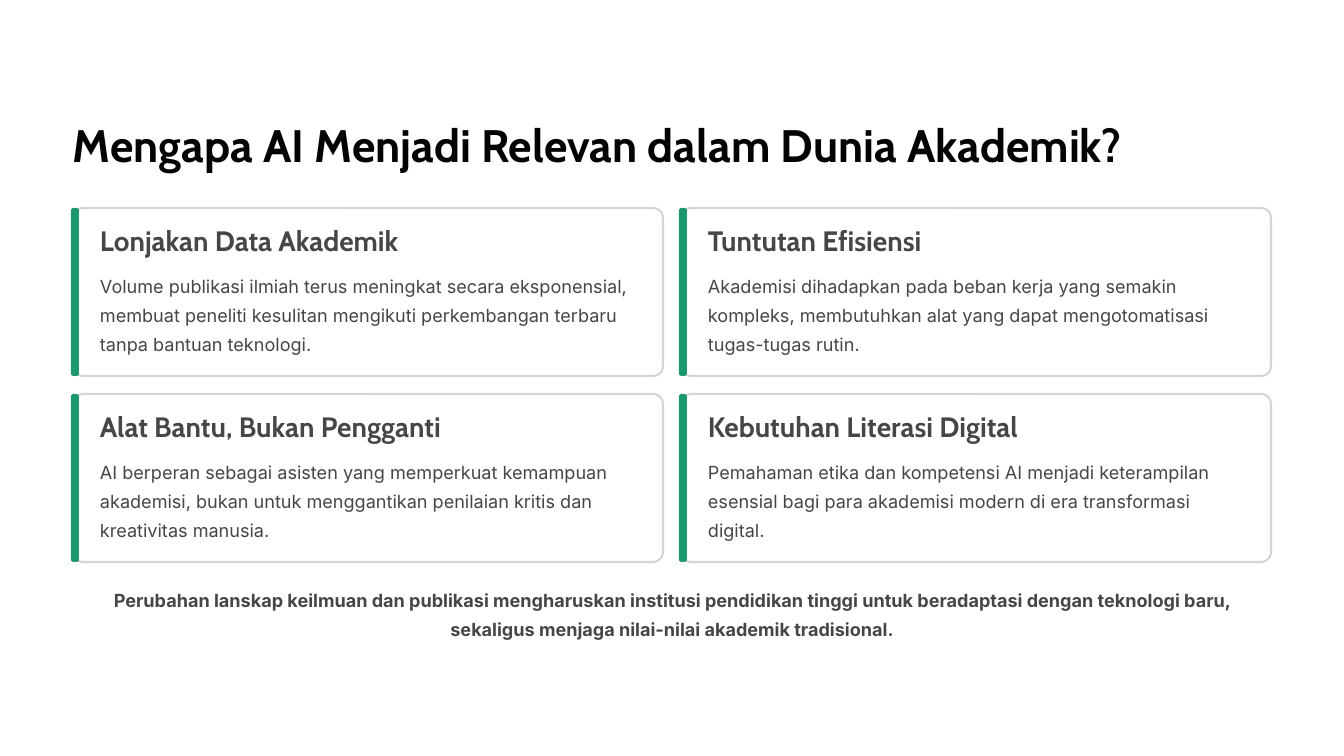
import pptx
import pptx.util
import pptx.dml.color
import pptx.enum.shapes
import pptx.enum.text

PX = 914400 // 84
GREEN, GREY, BORDER = "1C9770", "464646", "D8D4D4"
ALIGN = pptx.enum.text.PP_ALIGN

prs = pptx.Presentation()
prs.slide_width, prs.slide_height = 1344 * PX, 756 * PX
s = prs.slides.add_slide(prs.slide_layouts[6])


def paint(fmt, color):
    fmt.solid()
    fmt.fore_color.rgb = pptx.dml.color.RGBColor.from_string(color)


def add_text(text, x, y, w, h, font="Inter", size=15.5, color=GREY,
             bold=False, spacing=25, align=ALIGN.LEFT):
    tf = s.shapes.add_textbox(x * PX, y * PX, w * PX, h * PX).text_frame
    tf.margin_left = tf.margin_right = tf.margin_top = tf.margin_bottom = 0
    tf.word_wrap = True
    p = tf.paragraphs[0]
    p.alignment = align
    p.line_spacing = pptx.util.Pt(spacing)
    r = p.add_run()
    r.text = text
    r.font.name, r.font.size, r.font.bold = font, pptx.util.Pt(size), bold
    paint(r.font.fill, color)


# Background and title
paint(s.background.fill, "FFFFFF")
add_text("Mengapa AI Menjadi Relevan dalam Dunia Akademik?", 73, 115, 1160, 57,
         font="Cabin", size=39, color="030303", bold=True, spacing=48.5)

# Two by two cards: heading, body
cards = [
    ("Lonjakan Data Akademik",
     "Volume publikasi ilmiah terus meningkat secara eksponensial, membuat peneliti "
     "kesulitan mengikuti perkembangan terbaru tanpa bantuan teknologi."),
    ("Tuntutan Efisiensi",
     "Akademisi dihadapkan pada beban kerja yang semakin kompleks, membutuhkan alat "
     "yang dapat mengotomatisasi tugas-tugas rutin."),
    ("Alat Bantu, Bukan Pengganti",
     "AI berperan sebagai asisten yang memperkuat kemampuan akademisi, bukan untuk "
     "menggantikan penilaian kritis dan kreativitas manusia."),
    ("Kebutuhan Literasi Digital",
     "Pemahaman etika dan kompetensi AI menjadi keterampilan esensial bagi para "
     "akademisi modern di era transformasi digital."),
]
for i, (heading, body) in enumerate(cards):
    x = 73 + i % 2 * 608
    y = 208 + i // 2 * 186
    # Frame, then the green bar over its left edge
    for left, width, radius, fill in ((x, 590, 0.06, "FFFFFF"), (x - 2, 8, 0.33, GREEN)):
        sp = s.shapes.add_shape(pptx.enum.shapes.MSO_SHAPE.ROUNDED_RECTANGLE,
                                left * PX, y * PX, width * PX, 168 * PX)
        sp.shadow.inherit = False
        sp.adjustments[0] = radius
        paint(sp.fill, fill)
        if fill == GREEN:
            sp.line.fill.background()
        else:
            paint(sp.line.fill, BORDER)
            sp.line.width = pptx.util.Pt(1.8)
    add_text(heading, x + 27, y + 21, 543, 29,
             font="Cabin", size=24, bold=True, spacing=24)
    add_text(body, x + 27, y + 60, 543, 87)

# Closing statement
add_text("Perubahan lanskap keilmuan dan publikasi mengharuskan institusi pendidikan tinggi "
         "untuk beradaptasi dengan teknologi baru, sekaligus menjaga nilai-nilai akademik "
         "tradisional.", 73, 582, 1198, 58, bold=True, align=ALIGN.CENTER)

prs.save("out.pptx")
